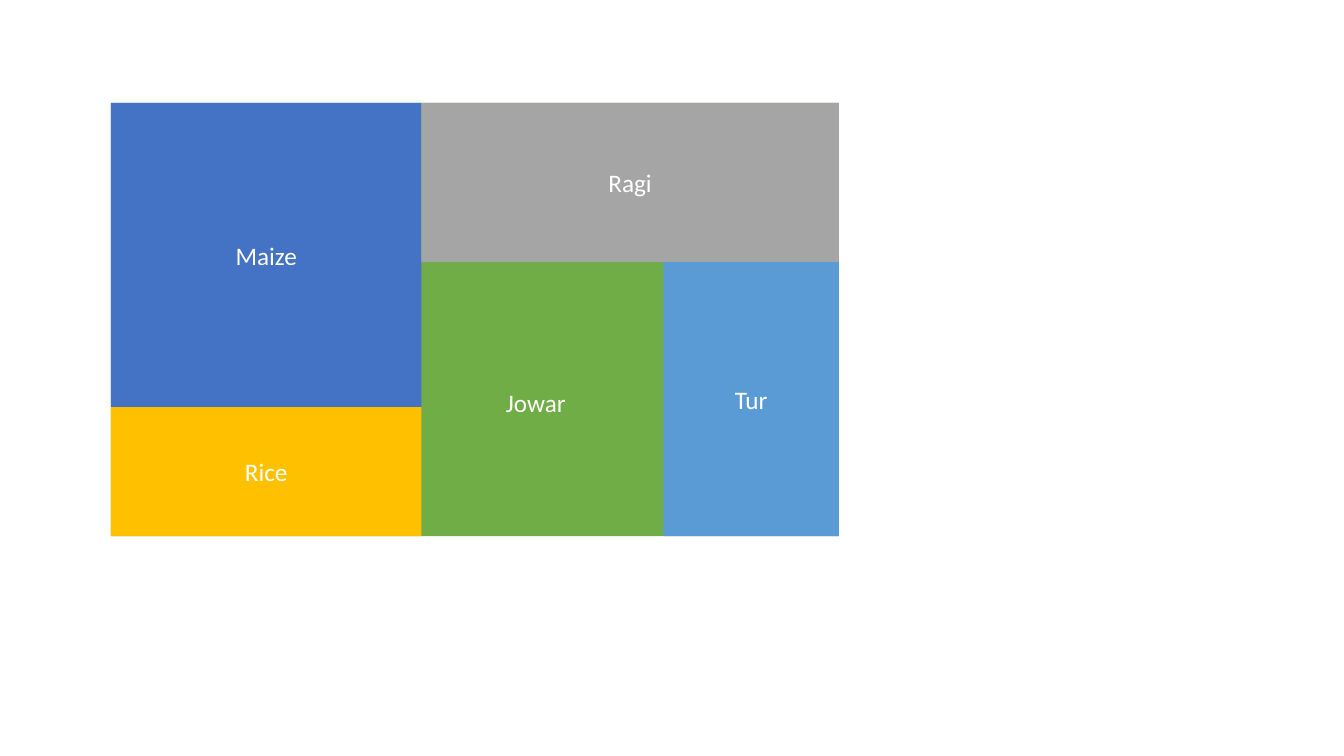
import pptx
import pptx.dml.color
import pptx.enum.shapes
import pptx.enum.text
import pptx.util

RGBColor = pptx.dml.color.RGBColor
WHITE = RGBColor(0xFF, 0xFF, 0xFF)
GREEN = RGBColor(0x70, 0xAD, 0x47)
BLUE = RGBColor(0x44, 0x72, 0xC4)
GREY = RGBColor(0xA5, 0xA5, 0xA5)
SKY = RGBColor(0x5B, 0x9B, 0xD5)
GOLD = RGBColor(0xFF, 0xC0, 0x00)

# Grid lines of the field, in inches
COLUMNS = (1.1, 4.18, 6.58, 8.32)
ROWS = (1.02, 2.6, 4.04, 5.32)


class FieldPlan:
    """Draws plots between the lines of the field grid."""

    font = "Calibri"
    size = pptx.util.Pt(18)

    def __init__(self, slide):
        self.slide = slide

    def add_crop_name(self, frame, crop, align):
        frame.vertical_anchor = pptx.enum.text.MSO_ANCHOR.MIDDLE
        paragraph = frame.paragraphs[0]
        paragraph.alignment = align
        run = paragraph.add_run()
        run.text = crop
        run.font.name = self.font
        run.font.size = self.size
        run.font.color.rgb = WHITE

    def plot(self, columns, rows, color, crop=None):
        left, right = (COLUMNS[line] for line in columns)
        top, bottom = (ROWS[line] for line in rows)
        edges = map(pptx.util.Inches, (left, top, right - left, bottom - top))
        area = self.slide.shapes.add_shape(
            pptx.enum.shapes.MSO_SHAPE.RECTANGLE, *edges)
        area.shadow.inherit = False
        area.fill.solid()
        area.fill.fore_color.rgb = color
        area.line.fill.background()
        if crop:
            self.add_crop_name(
                area.text_frame, crop, pptx.enum.text.PP_ALIGN.CENTER)

    def label(self, left, top, width, height, crop):
        edges = map(pptx.util.Inches, (left, top, width, height))
        frame = self.slide.shapes.add_textbox(*edges).text_frame
        frame.word_wrap = False
        frame.auto_size = pptx.enum.text.MSO_AUTO_SIZE.SHAPE_TO_FIT_TEXT
        self.add_crop_name(frame, crop, pptx.enum.text.PP_ALIGN.LEFT)


def main():
    deck = pptx.Presentation()
    deck.slide_width = pptx.util.Inches(13.33)
    deck.slide_height = pptx.util.Inches(7.5)
    field = FieldPlan(deck.slides.add_slide(deck.slide_layouts[6]))

    # Whole field, which shows through as the Jowar plot
    field.plot((0, 3), (0, 3), GREEN)

    # Plots of the other crops
    field.plot((0, 1), (0, 2), BLUE, "Maize")
    field.plot((1, 3), (0, 1), GREY, "Ragi")
    field.plot((2, 3), (1, 3), SKY, "Tur")
    field.plot((0, 1), (2, 3), GOLD, "Rice")

    # Name of the remaining plot
    field.label(4.92, 3.79, 0.8, 0.4, "Jowar")

    deck.save("out.pptx")


if __name__ == "__main__":
    main()
